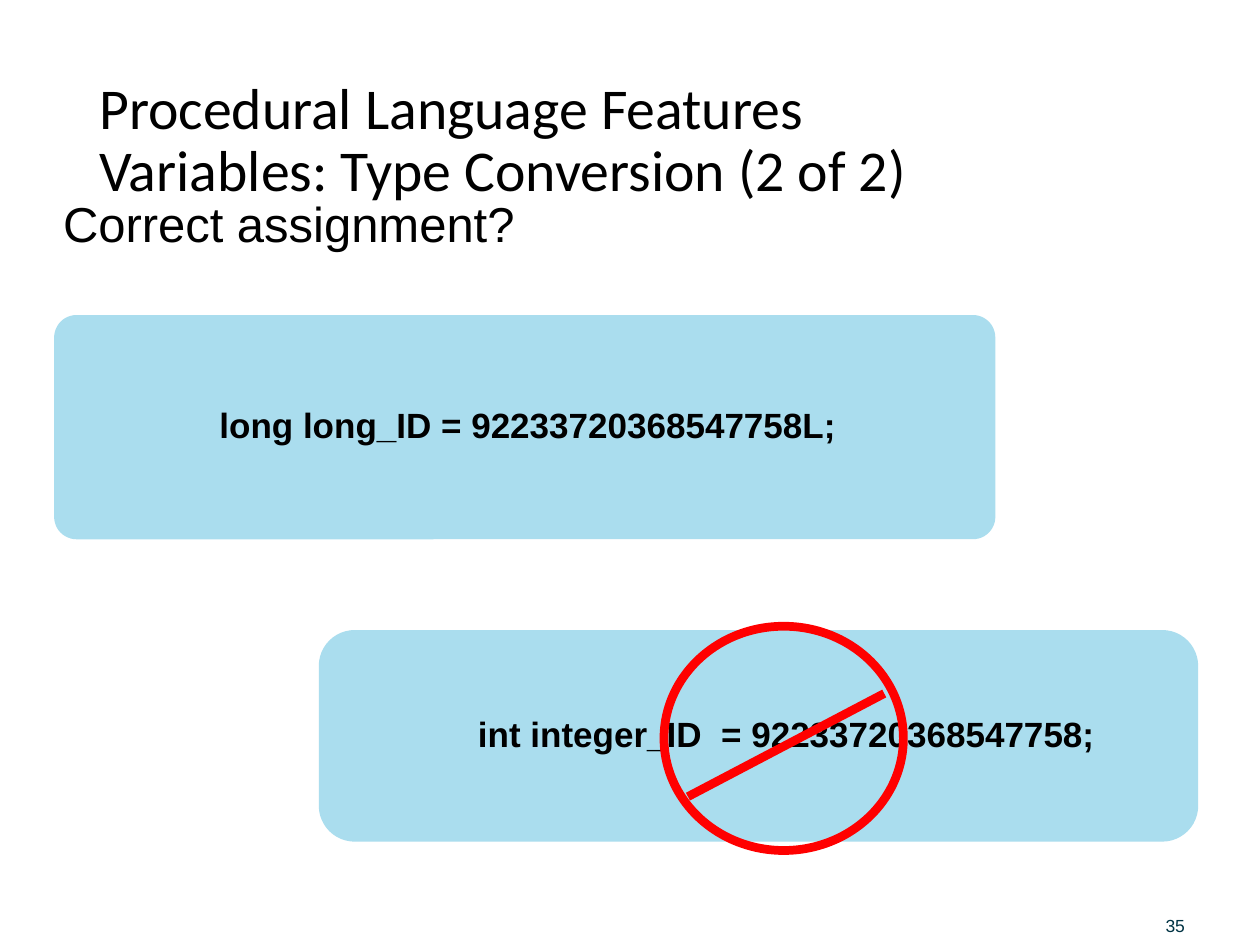
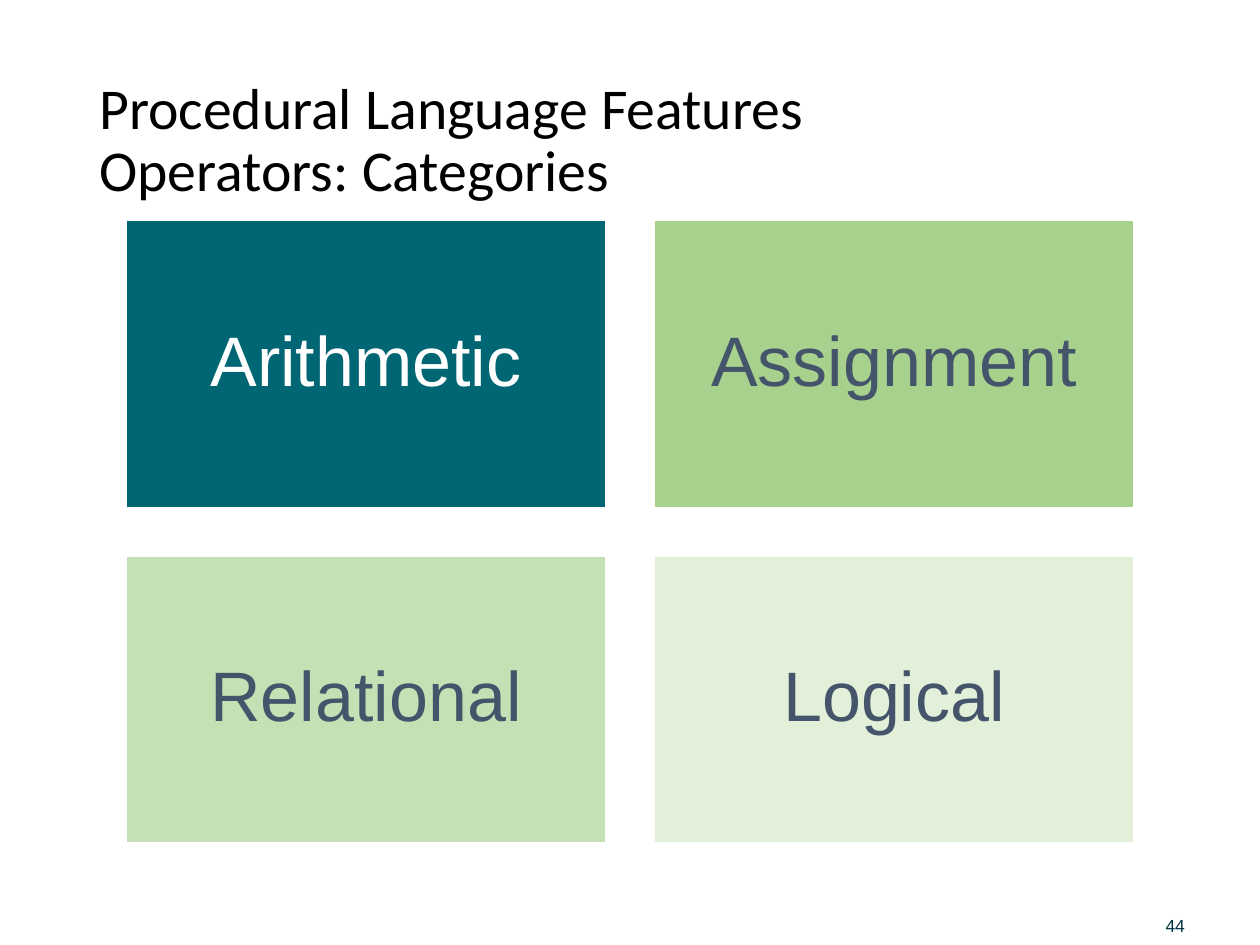
from collections import namedtuple

from lxml import etree
from pptx import Presentation
from pptx import util as u
from pptx.dml.color import RGBColor
from pptx.enum import shapes, text

# Shared colours
BLACK = RGBColor(0x00, 0x00, 0x00)
WHITE = RGBColor(0xFF, 0xFF, 0xFF)
NAVY = RGBColor(0x00, 0x33, 0x44)
SKY = RGBColor(0xAA, 0xDD, 0xEE)
RED = RGBColor(0xFF, 0x00, 0x00)
SLATE = RGBColor(0x44, 0x54, 0x6A)
TEAL = RGBColor(0x00, 0x66, 0x73)
LEAF = RGBColor(0xA9, 0xD1, 0x8E)
MINT = RGBColor(0xC5, 0xE0, 0xB4)
PALE = RGBColor(0xE2, 0xF0, 0xD9)

# Slide grid: 100 columns by 75 rows of square cells
WIDE, HIGH = u.Inches(10), u.Inches(7.5)
COLS = 100
CELL = WIDE / COLS

Box = namedtuple("Box", "x y w h")
TITLE = Box(6.9, 4, 86.2, 14.5)
PAGE = Box(92.5, 71.5, 6.9, 2.8)
CODE = Box(4.3, 15, 91.8, 52.5)
TILES = Box(10, 17.5, 80, 49.4)

# Text formats
HEAD = dict(name="Calibri", size=u.Pt(33))
LEAD = dict(name="Arial", size=u.Pt(28))
BOLD = dict(name="Arial", size=u.Pt(20), bold=True)
LABEL = dict(name="Arial", size=u.Pt(40))
FOOT = dict(name="Arial", size=u.Pt(10))

MID, LOW = text.MSO_ANCHOR.MIDDLE, text.MSO_ANCHOR.BOTTOM
LEFT, MIDST = text.PP_ALIGN.LEFT, text.PP_ALIGN.CENTER
KIND = shapes.MSO_SHAPE


def cells(*sizes):
    return [round(size * CELL) for size in sizes]


def inner(box, x, y, w, h):
    """A box given in cells from the corner of another box."""
    return Box(box.x + x, box.y + y, w, h)


def write(shape, words, look, colour=BLACK, anchor=MID, align=LEFT,
          pads=(1, 0.5, 1, 0.5), space=0.9):
    frame = shape.text_frame
    frame.word_wrap = True
    frame.vertical_anchor = anchor
    sides = ("left", "top", "right", "bottom")
    for side, pad in zip(sides, cells(*pads)):
        setattr(frame, f"margin_{side}", pad)
    para = frame.paragraphs[0]
    para.text = words
    para.alignment, para.line_spacing = align, space
    for run in para.runs:
        for key, value in look.items():
            setattr(run.font, key, value)
        run.font.color.rgb = colour


def note(slide, box, words, look, **style):
    write(slide.shapes.add_textbox(*cells(*box)), words, look, **style)


def draw(slide, kind, box, fill=None, line=None, width=1):
    shape = slide.shapes.add_shape(kind, *cells(*box))
    shape.shadow.inherit = False
    for part, colour in ((shape.fill, fill), (shape.line.fill, line)):
        if colour is None:
            part.background()
        else:
            part.solid()
            part.fore_color.rgb = colour
    if line is not None:
        shape.line.width = u.Pt(width)
    return shape


def base(deck, topic, page):
    """Blank slide with the shared title and page number."""
    slide = deck.slides.add_slide(deck.slide_layouts[6])
    note(slide, TITLE, f"Procedural Language Features\v{topic}", HEAD)
    note(slide, PAGE, page, FOOT, colour=NAVY, anchor=LOW,
         pads=(0, 0, 0, 0), space=1)
    return slide


def panel(slide, box, code, curve, indent):
    shape = draw(slide, KIND.ROUNDED_RECTANGLE, box, fill=SKY)
    shape.adjustments[0] = curve
    write(shape, code, BOLD, pads=(indent, 0.9, 0.9, 0.9))


def ban(slide, box):
    """Red ring with a slash across it."""
    draw(slide, KIND.OVAL, box, line=RED, width=5)
    ends = cells(box.x + 0.1 * box.w, box.y + 0.76 * box.h,
                 box.x + 0.92 * box.w, box.y + 0.3 * box.h)
    slash = slide.shapes.add_connector(shapes.MSO_CONNECTOR.STRAIGHT, *ends)
    slash.line.color.rgb = RED
    slash.line.width = u.Pt(5)
    props = slash.element.spPr
    space = props.nsmap["a"]
    etree.SubElement(props, f"{{{space}}}effectLst")


def convert(slide, box):
    # Question
    note(slide, inner(box, 0.7, 0, 91.1, 5), "Correct assignment?", LEAD,
         anchor=LOW, pads=(0, 0, 0, 0), space=1)
    # Valid and invalid assignments
    panel(slide, inner(box, 0, 10, 74.7, 17.8),
          "long long_ID = 92233720368547758L;", 0.1, 12.6)
    panel(slide, inner(box, 21, 35, 69.8, 16.8),
          "int integer_ID  = 92233720368547758;", 0.17, 11.8)
    ban(slide, inner(box, 48.4, 34.7, 19, 17.8))


def tiles(slide, box, items, across=2, gap=3.8):
    down = -(-len(items) // across)
    w = (box.w - gap * (across - 1)) / across
    h = (box.h - gap * (down - 1)) / down
    for i, (words, fill, ink) in enumerate(items):
        row, col = divmod(i, across)
        spot = inner(box, col * (w + gap), row * (h + gap), w, h)
        tile = draw(slide, KIND.RECTANGLE, spot, fill=fill, line=WHITE)
        write(tile, words, LABEL, colour=ink, align=MIDST, pads=(2.1,) * 4)


def main():
    deck = Presentation()
    deck.slide_width, deck.slide_height = WIDE, HIGH
    convert(base(deck, "Variables: Type Conversion (2 of 2)", "35"), CODE)
    tiles(base(deck, "Operators: Categories", "44"), TILES, [
        ("Arithmetic", TEAL, WHITE),
        ("Assignment", LEAF, SLATE),
        ("Relational", MINT, SLATE),
        ("Logical", PALE, SLATE),
    ])
    deck.save("out.pptx")


if __name__ == "__main__":
    main()
